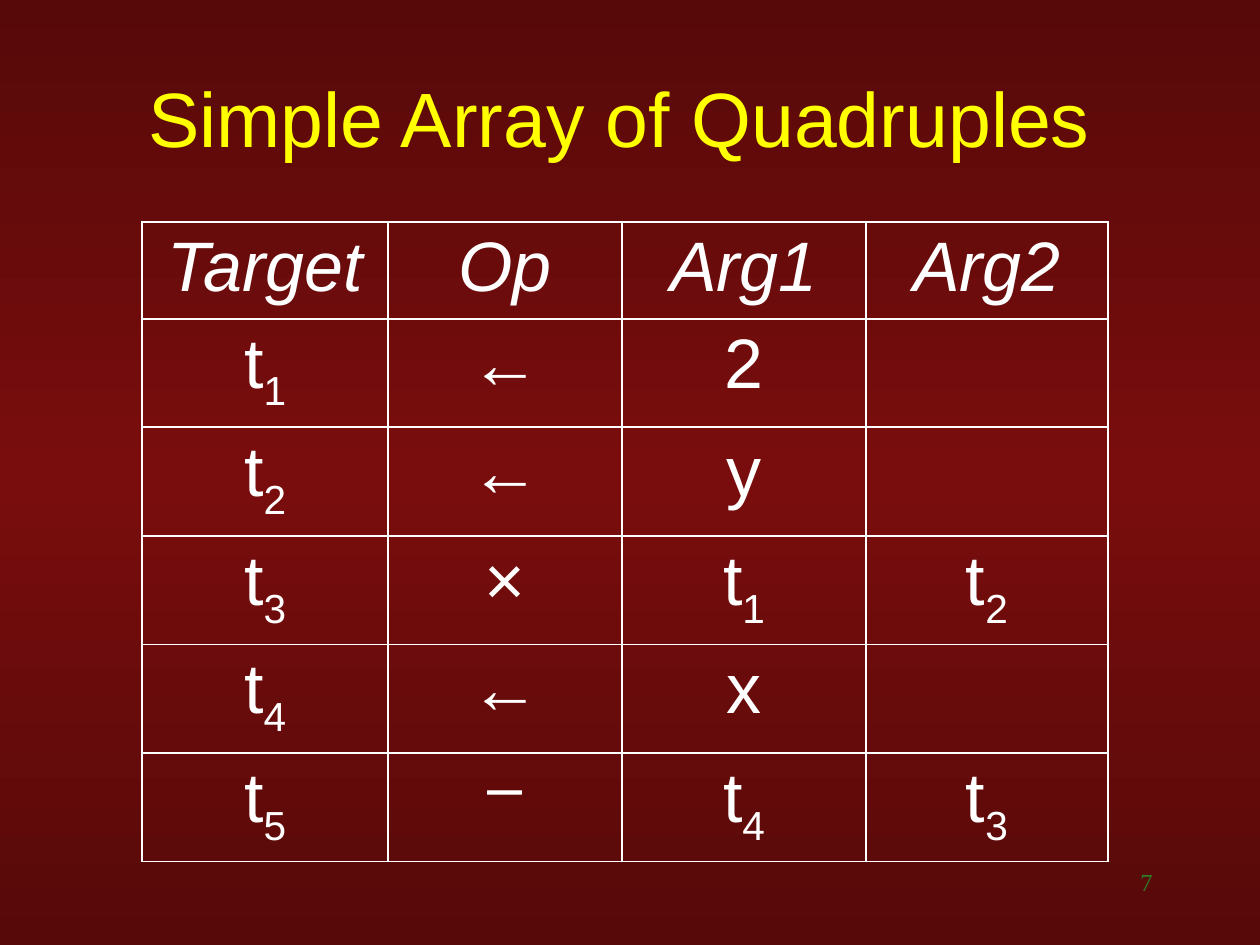
import copy

import pptx
import pptx.dml.color
import pptx.enum.text
import pptx.oxml.ns
import pptx.util
from lxml import etree

RGBColor = pptx.dml.color.RGBColor
ALIGN = pptx.enum.text.PP_ALIGN
qn = pptx.oxml.ns.qn

EMU_PER_PX = 914400 / 126
DARK_RED = RGBColor(0x57, 0x09, 0x09)
RED = RGBColor(0x79, 0x0D, 0x0D)
YELLOW = RGBColor(0xFF, 0xFF, 0x00)
WHITE = RGBColor(0xFF, 0xFF, 0xFF)
GREEN = RGBColor(0x2B, 0x7D, 0x27)

COLUMN_WIDTHS = (246, 234, 244, 242)
ROW_HEIGHTS = (97, 108, 109, 108, 109, 108)
HEADINGS = ("Target", "Op", "Arg1", "Arg2")
# An underscore marks the start of a subscript
QUADRUPLES = (
    ("t_1", "←", "2", ""),
    ("t_2", "←", "y", ""),
    ("t_3", "×", "t_1", "t_2"),
    ("t_4", "←", "x", ""),
    ("t_5", "–", "t_4", "t_3"),
)


def px(length):
    return pptx.util.Emu(round(length * EMU_PER_PX))


def add_span(para, text, size, color, font="Arial", italic=False):
    span = para.add_run()
    span.text = text
    span.font.size = pptx.util.Pt(size)
    span.font.name = font
    span.font.italic = italic
    span.font.color.rgb = color
    return span


def paint_background(page):
    fill = page.background.fill
    fill.gradient()
    fill.gradient_angle = 90
    stops = page.element.find(".//" + qn("a:gsLst"))
    stops.append(copy.deepcopy(stops[-1]))
    for stop, color, position in zip(
        fill.gradient_stops, (DARK_RED, RED, DARK_RED), (0, 0.5, 1)
    ):
        stop.color.rgb = color
        stop.position = position


def add_text(page, box, text, size, color, font, align):
    frame = page.shapes.add_textbox(*map(px, box)).text_frame
    frame.word_wrap = True
    para = frame.paragraphs[0]
    para.alignment = align
    add_span(para, text, size, color, font)
    return para


def add_title(page, box):
    para = add_text(page, box, "Simple Array of Quadruples", 44, YELLOW,
                    "Arial", ALIGN.LEFT)
    para.line_spacing = 0.75
    para.space_after = pptx.util.Pt(22)


def add_page_number(page, box):
    add_text(page, box, "7", 14, GREEN, "Times New Roman", ALIGN.RIGHT)


def add_borders(cell):
    properties = cell._tc.get_or_add_tcPr()
    for index, side in enumerate(("a:lnL", "a:lnR", "a:lnT", "a:lnB")):
        line = etree.Element(qn(side), w=str(pptx.util.Pt(1.08)))
        fill = etree.SubElement(line, qn("a:solidFill"))
        etree.SubElement(fill, qn("a:srgbClr"), val=str(WHITE))
        properties.insert(index, line)


def fill_cell(cell, text, italic):
    cell.fill.background()
    add_borders(cell)
    if not text:
        return
    para = cell.text_frame.paragraphs[0]
    para.alignment = ALIGN.CENTER
    base, _, subscript = text.partition("_")
    font = "TeX Gyre Adventor" if base == "–" else "Arial"
    add_span(para, base, 40, WHITE, font, italic)
    if subscript:
        span = add_span(para, subscript, 40, WHITE)
        span.font._element.set("baseline", "-25000")


def add_quadruples(page, left, top):
    rows = (HEADINGS,) + QUADRUPLES
    box = (left, top, sum(COLUMN_WIDTHS), sum(ROW_HEIGHTS))
    table = page.shapes.add_table(
        len(rows), len(HEADINGS), *map(px, box)).table
    table.first_row = False
    table.horz_banding = False
    for column, width in zip(table.columns, COLUMN_WIDTHS):
        column.width = px(width)
    for row, height in zip(table.rows, ROW_HEIGHTS):
        row.height = px(height)
    for row_index, texts in enumerate(rows):
        for column_index, text in enumerate(texts):
            fill_cell(table.cell(row_index, column_index), text,
                      italic=row_index == 0)


def main():
    deck = pptx.Presentation()
    deck.slide_width, deck.slide_height = px(1260), px(945)
    page = deck.slides.add_slide(deck.slide_layouts[6])
    paint_background(page)
    add_title(page, (136, 86, 1081, 91))
    add_quadruples(page, 142, 222)
    add_page_number(page, (903, 861, 262, 63))
    deck.save("out.pptx")


if __name__ == "__main__":
    main()
